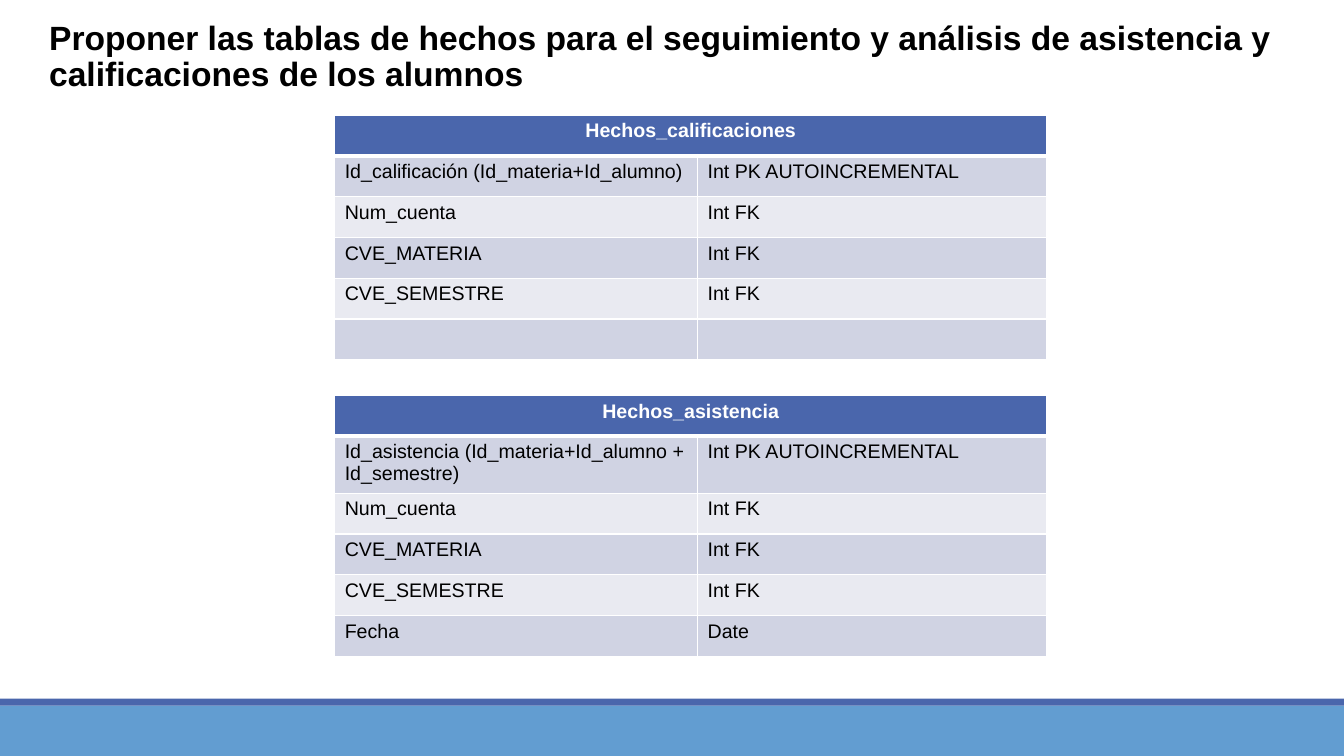
import pptx
import pptx.util
import pptx.dml.color
import pptx.enum.shapes
import pptx.enum.text
import pptx.oxml
import pptx.oxml.ns
from dataclasses import dataclass


@dataclass(frozen=True)
class Theme:
    font: str = "Arial"
    title_size: int = 24
    cell_size: int = 14
    text: str = "000000"
    white: str = "FFFFFF"
    dark: str = "4A66AC"
    light: str = "629DD1"
    bands: tuple = ("D0D3E3", "E9EAF1")
    rule: int = 1
    header_rule: int = 3


class Deck:
    """Places elements on the current slide; lengths are percent of its size."""

    def __init__(self, prs, theme):
        self.prs, self.theme = prs, theme
        self.s = prs.slides.add_slide(prs.slide_layouts[6])

    def x(self, share):
        return round(self.prs.slide_width * share / 100)

    def y(self, share):
        return round(self.prs.slide_height * share / 100)

    def box(self, left, top, width, height):
        return self.x(left), self.y(top), self.x(width), self.y(height)

    def fill(self, target, color):
        target.fill.solid()
        target.fill.fore_color.rgb = pptx.dml.color.RGBColor.from_string(color)

    def run(self, p, text, size, color, bold=False):
        r = p.add_run()
        r.text = text
        r.font.name, r.font.size, r.font.bold = self.theme.font, pptx.util.Pt(size), bold
        r.font.color.rgb = pptx.dml.color.RGBColor.from_string(color)

    def bar(self, top, height, color):
        sp = self.s.shapes.add_shape(pptx.enum.shapes.MSO_SHAPE.RECTANGLE,
                                     *self.box(0, top, 100, height))
        sp.shadow.inherit = False
        self.fill(sp, color)
        sp.line.fill.background()

    def title(self, text, left, top, width, height, bottom_gap):
        tf = self.s.shapes.add_textbox(*self.box(left, top, width, height)).text_frame
        tf.word_wrap = True
        tf.vertical_anchor = pptx.enum.text.MSO_ANCHOR.BOTTOM
        tf.margin_bottom = self.y(bottom_gap)
        p = tf.paragraphs[0]
        p.line_spacing = 0.9
        self.run(p, text, self.theme.title_size, self.theme.text, bold=True)

    def borders(self, cell, bottom):
        tcPr = cell._tc.get_or_add_tcPr()
        widths = {"lnL": self.theme.rule, "lnR": self.theme.rule,
                  "lnT": self.theme.rule, "lnB": bottom}
        for i, (side, width) in enumerate(widths.items()):
            tcPr.insert(i, pptx.oxml.parse_xml(
                f'<a:{side} {pptx.oxml.ns.nsdecls("a")} w="{pptx.util.Pt(width)}">'
                f'<a:solidFill><a:srgbClr val="{self.theme.white}"/></a:solidFill>'
                f'</a:{side}>'))

    def fact_table(self, name, fields, left, top, widths, row):
        t = self.theme
        rows = [(name, "")] + fields
        table = self.s.shapes.add_table(
            len(rows), len(widths),
            *self.box(left, top, sum(widths), row * len(rows))).table
        for column, width in zip(table.columns, widths):
            column.width = self.x(width)
        table.cell(0, 0).merge(table.cell(0, len(widths) - 1))
        for i, texts in enumerate(rows):
            header = i == 0
            table.rows[i].height = self.y(row)
            for j, text in enumerate(texts):
                cell = table.cell(i, j)
                self.fill(cell, t.dark if header else t.bands[(i - 1) % 2])
                self.borders(cell, t.header_rule if header else t.rule)
                if text:
                    p = cell.text_frame.paragraphs[0]
                    if header:
                        p.alignment = pptx.enum.text.PP_ALIGN.CENTER
                    self.run(p, text, t.cell_size, t.white if header else t.text, header)


prs = pptx.Presentation()
prs.slide_width, prs.slide_height = pptx.util.Inches(13.33), pptx.util.Inches(7.5)
theme = Theme()
deck = Deck(prs, theme)

# Footer bands
deck.bar(93.33, 6.67, theme.light)
deck.bar(92.4, 0.93, theme.dark)

# Title
deck.title("Proponer las tablas de hechos para el seguimiento y análisis de "
           "asistencia y calificaciones de los alumnos",
           left=2.92, top=1.2, width=93, height=16.53, bottom_gap=5.3)

# Fact tables: own key, shared foreign keys, last field
keys = [(key, "Int FK") for key in ("Num_cuenta", "CVE_MATERIA", "CVE_SEMESTRE")]
key_type = "Int PK AUTOINCREMENTAL"
facts = [
    ("Hechos_calificaciones", "Id_calificación (Id_materia+Id_alumno)", ("", ""), 15.2),
    ("Hechos_asistencia", "Id_asistencia (Id_materia+Id_alumno + Id_semestre)",
     ("Fecha", "Date"), 52.27),
]
for name, key, last, top in facts:
    deck.fact_table(name, [(key, key_type), *keys, last],
                    left=24.9, top=top, widths=(27, 26), row=5.4)

prs.save("out.pptx")
